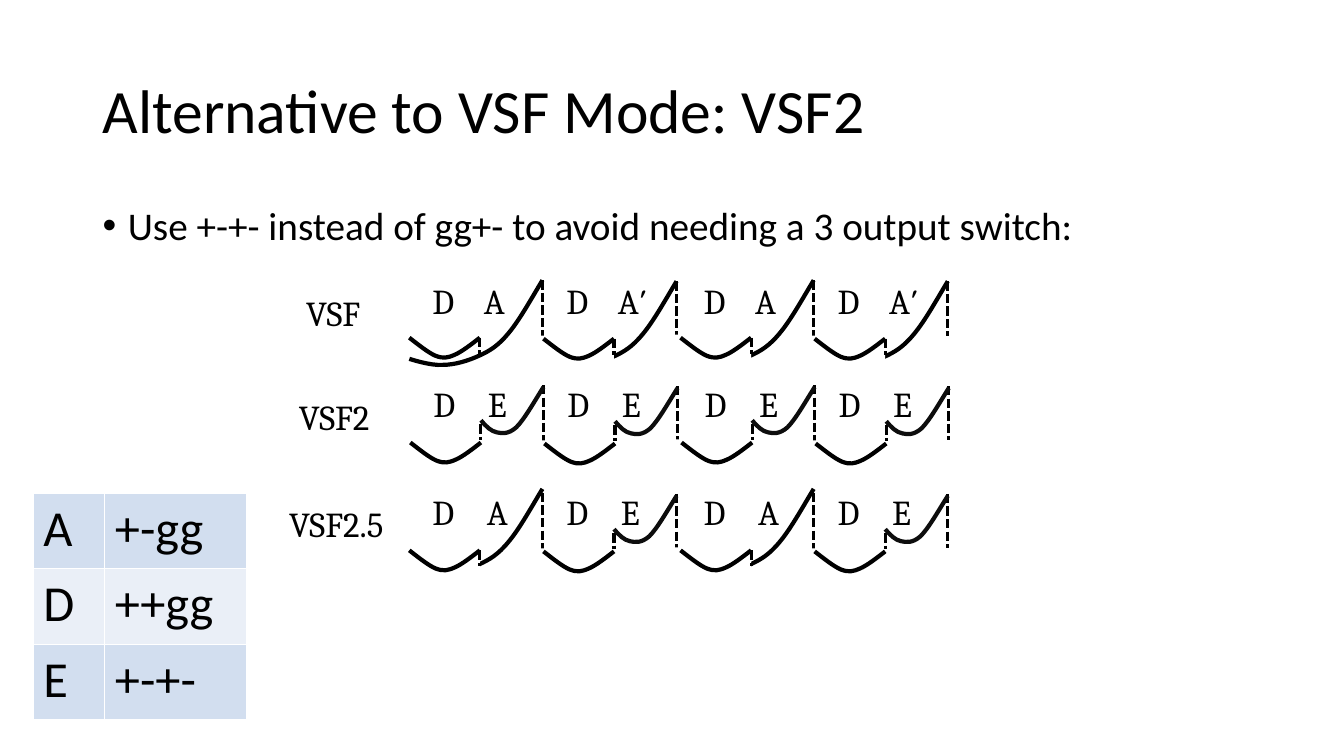
from dataclasses import dataclass

from lxml import etree
from pptx import Presentation
from pptx import slide as sl
from pptx import table as tb
from pptx import util as u
from pptx.dml import color, line
from pptx.enum import dml as styles, shapes, text
from pptx.oxml import ns, xmlchemy

PX = u.Inches(1) // 100

BLACK = color.RGBColor(0x00, 0x00, 0x00)
NEAR_BLACK = color.RGBColor(0x0D, 0x0D, 0x0D)
WHITE = color.RGBColor(0xFF, 0xFF, 0xFF)
BAND_DARK = color.RGBColor(0xD2, 0xDE, 0xEF)
BAND_LIGHT = color.RGBColor(0xEA, 0xEF, 0xF7)

Point = tuple[int, int]

DIP = [(0, 57), (9, 64), (19, 72), (26, 75), (34, 78), (38, 77), (45, 74),
       (52, 71), (61, 64), (70, 57)]
WAVE_A = [(132, 0), (120, 20), (109, 40), (98, 53), (88, 65), (80, 70), (69, 75),
          (58, 80), (45, 84), (33, 84), (21, 85), (0, 78), (0, 78)]
WAVE_E = [(70, 35), (75, 41), (80, 46), (86, 47), (91, 48), (97, 49), (105, 42),
          (113, 34), (122, 18), (132, 2)]
CYCLE_OFFSETS = [(0, 0), (133, 1), (269, 0), (402, 1)]


@dataclass(frozen=True)
class ModeRow:
    name: str
    name_left: int
    left: int
    top: int
    text_top: int
    letter_offset: int
    wave_shift: int
    first_cover: int
    letters: tuple[str, ...]


@dataclass(frozen=True)
class Label:
    words: str
    left: int
    top: int
    width: int
    height: int = 52
    size: int = 25
    font: str = "Cambria"
    align: text.PP_ALIGN = text.PP_ALIGN.LEFT
    anchor: text.MSO_ANCHOR = text.MSO_ANCHOR.TOP
    spacing: float = 1.0
    before: int = 0


MODE_ROWS = [
    ModeRow("VSF", 265, 406, 278, 272, 64, 0, 1, ("A", "A′", "A", "A′")),
    ModeRow("VSF2", 266, 407, 382, 375, 67, 0, 0, ("E", "E", "E", "E")),
    ModeRow("VSF2.5", 268, 406, 489, 482, 67, -4, 0, ("A", "E", "A", "E")),
]
SWITCH_STATES = [("A", "+-gg"), ("D", "++gg"), ("E", "+-+-")]


def add_label(slide: sl.Slide, label: Label) -> xmlchemy.BaseOxmlElement:
    box = slide.shapes.add_textbox(
        label.left * PX, label.top * PX, label.width * PX, label.height * PX)
    frame = box.text_frame
    frame.word_wrap = True
    frame.vertical_anchor = label.anchor
    paragraph = frame.paragraphs[0]
    paragraph_format = {"alignment": label.align, "line_spacing": label.spacing,
                        "space_before": u.Pt(label.before)}
    for name, value in paragraph_format.items():
        setattr(paragraph, name, value)
    run = paragraph.add_run()
    run.text = label.words
    for name, value in {"size": u.Pt(label.size), "name": label.font}.items():
        setattr(run.font, name, value)
    run.font.color.rgb = BLACK
    return paragraph._p.get_or_add_pPr()


def add_bullet(properties: xmlchemy.BaseOxmlElement) -> None:
    for name, value in {"marL": 25 * PX, "indent": -25 * PX}.items():
        properties.set(name, str(value))
    etree.SubElement(properties, ns.qn("a:buFont")).set("typeface", "Arial")
    etree.SubElement(properties, ns.qn("a:buChar")).set("char", "•")


def set_line(outline: line.LineFormat, width: float, rgb: color.RGBColor) -> None:
    outline.color.rgb = rgb
    outline.width = u.Pt(width)


def add_curve(slide: sl.Slide, controls: list[Point], left: int, top: int,
              rgb: color.RGBColor = BLACK) -> None:
    points = [((left + x) * PX, (top + y) * PX) for x, y in controls]
    builder = slide.shapes.build_freeform(*points[0], scale=1.0)
    builder.add_line_segments(points[1:], close=False)
    shape = builder.convert_to_shape()
    contour = next(shape._element.iter(ns.qn("a:path")))
    segments = contour.findall(ns.qn("a:lnTo"))
    for first in range(0, len(segments), 3):
        bezier = etree.SubElement(contour, ns.qn("a:cubicBezTo"))
        for segment in segments[first:first + 3]:
            bezier.append(segment[0])
            contour.remove(segment)
    shape.shadow.inherit = False
    shape.fill.background()
    set_line(shape.line, 3, rgb)


def add_dash(slide: sl.Slide, x: int, top: int, bottom: int) -> None:
    connector = slide.shapes.add_connector(
        shapes.MSO_CONNECTOR.STRAIGHT, x * PX, top * PX, x * PX, bottom * PX)
    set_line(connector.line, 2.25, BLACK)
    connector.line.dash_style = styles.MSO_LINE.SQUARE_DOT
    etree.SubElement(connector._element.spPr, ns.qn("a:effectLst"))


def add_cover(slide: sl.Slide, left: int, top: int) -> None:
    shape = slide.shapes.add_shape(
        shapes.MSO_SHAPE.RECTANGLE, left * PX, top * PX, 90 * PX, 36 * PX)
    shape.shadow.inherit = False
    shape.fill.solid()
    shape.fill.fore_color.rgb = WHITE
    shape.line.fill.background()


def add_mode_row(slide: sl.Slide, row: ModeRow) -> None:
    add_label(slide, Label(row.name, row.name_left, row.text_top + 12, 131,
                           align=text.PP_ALIGN.CENTER))
    for index, (letter, (dx, dy)) in enumerate(zip(row.letters, CYCLE_OFFSETS)):
        left, top = row.left + dx, row.top + dy
        is_e = letter == "E"
        if not is_e:
            add_curve(slide, WAVE_A, left, top + row.wave_shift)
        last = index == len(CYCLE_OFFSETS) - 1
        add_dash(slide, left + 132, top, top + (54 if last else 77))
        if index >= row.first_cover:
            add_cover(slide, left - 20, top + 54)
        step_top = top + (39 if is_e else 57)
        add_dash(slide, left + 70, step_top, step_top + 16)
        add_curve(slide, DIP, left, top)
        if is_e:
            add_curve(slide, WAVE_E, left, top, NEAR_BLACK)
        add_label(slide, Label("D", left + 13, row.text_top, 50))
        add_label(slide, Label(letter, left + row.letter_offset, row.text_top, 62))


def style_cell(cell: tb._Cell, words: str, fill: color.RGBColor) -> None:
    run = cell.text_frame.paragraphs[0].add_run()
    run.text = words
    for name, value in {"size": u.Pt(36), "name": "Calibri", "bold": False}.items():
        setattr(run.font, name, value)
    run.font.color.rgb = BLACK
    properties = cell._tc.get_or_add_tcPr()
    for side in ("lnL", "lnR", "lnT", "lnB"):
        border = etree.SubElement(properties, ns.qn(f"a:{side}"), w=str(int(u.Pt(1))))
        solid = etree.SubElement(border, ns.qn("a:solidFill"))
        etree.SubElement(solid, ns.qn("a:srgbClr"), val=str(WHITE))
    cell.fill.solid()
    cell.fill.fore_color.rgb = fill


def add_switch_table(slide: sl.Slide) -> None:
    table = slide.shapes.add_table(
        len(SWITCH_STATES), 2, 33 * PX, 489 * PX, 212 * PX, 225 * PX).table
    for name in ("first_row", "horz_banding"):
        setattr(table, name, False)
    for column, width in zip(table.columns, (71, 141)):
        column.width = width * PX
    for index, state in enumerate(SWITCH_STATES):
        fill = BAND_LIGHT if index % 2 else BAND_DARK
        for cell, words in zip(table.rows[index].cells, state):
            style_cell(cell, words, fill)


def main() -> None:
    presentation = Presentation()
    presentation.slide_width, presentation.slide_height = 1333 * PX, 750 * PX
    slide = presentation.slides.add_slide(presentation.slide_layouts[6])
    add_label(slide, Label("Alternative to VSF Mode: VSF2", 92, 40, 1150, 145, 44,
                           "Calibri", anchor=text.MSO_ANCHOR.MIDDLE, spacing=0.9))
    add_bullet(add_label(slide, Label(
        "Use +-+- instead of gg+- to avoid needing a 3 output switch:",
        92, 200, 1150, 507, 28, "Calibri", spacing=0.9, before=10)))
    for row in MODE_ROWS:
        add_mode_row(slide, row)
    add_switch_table(slide)
    presentation.save("out.pptx")


if __name__ == "__main__":
    main()
